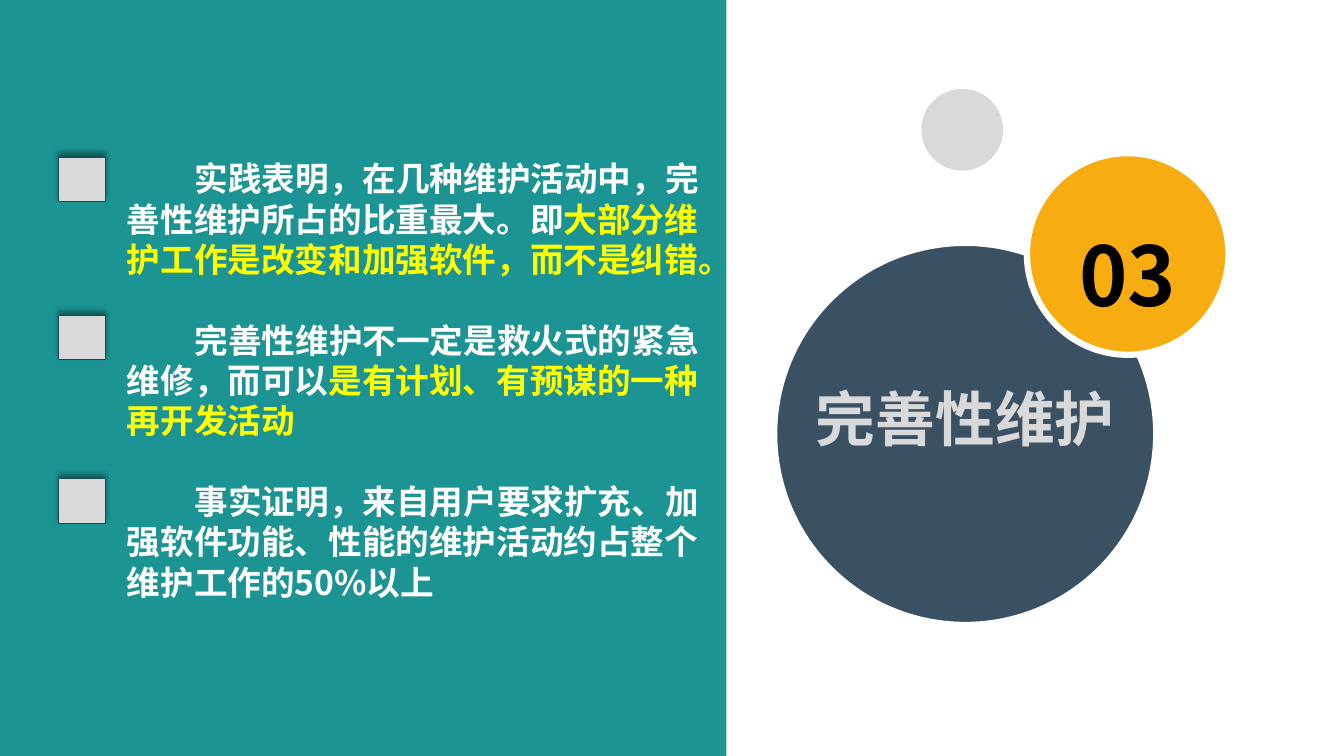
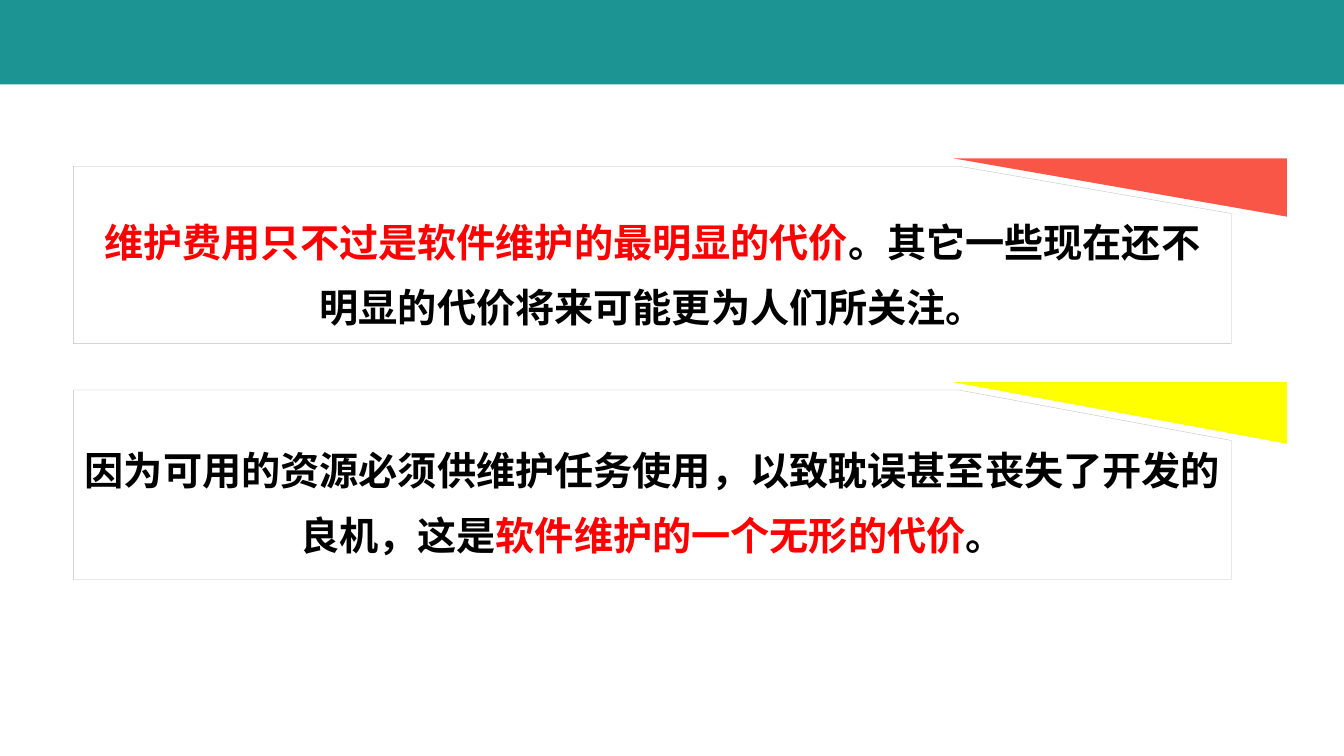
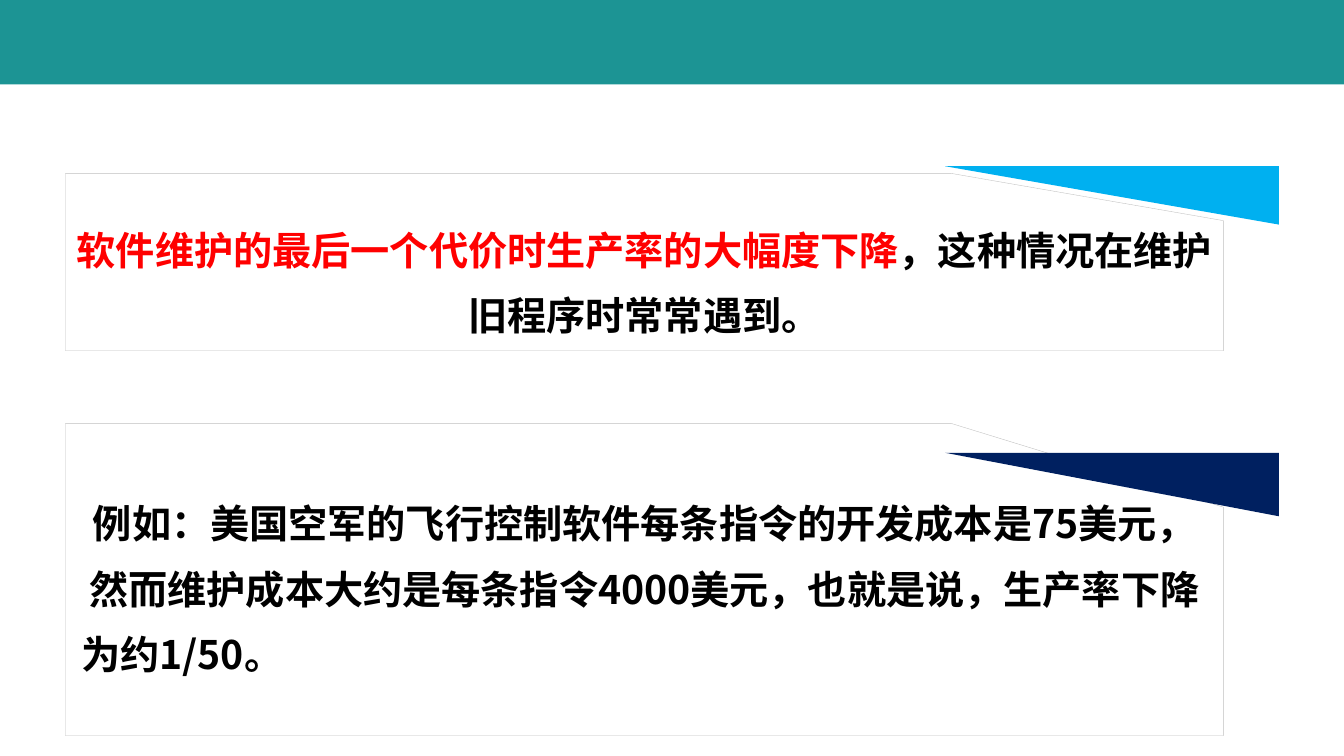
from dataclasses import dataclass
from itertools import chain

from lxml.etree import SubElement
from pptx import Presentation
from pptx.dml.color import RGBColor
from pptx.enum.shapes import MSO_SHAPE as Preset
from pptx.enum.text import MSO_ANCHOR as Anchor, PP_ALIGN as Align
from pptx.oxml.ns import qn
from pptx.util import Cm, Pt


@dataclass(frozen=True)
class Theme:
    font: str = "Noto Sans CJK SC"
    teal: str = "1C9494"
    navy: str = "3A5063"
    amber: str = "F7AC12"
    grey: str = "D9D9D9"
    marker_line: str = "1B4952"
    card_line: str = "BFBFBF"
    white: str = "FFFFFF"
    black: str = "000000"
    red: str = "FF0000"
    yellow: str = "FFFF00"
    coral: str = "F95647"
    sky: str = "00B0F0"
    midnight: str = "002060"
    body_size: float = 24
    card_size: float = 28
    title_size: float = 42.7
    number_size: float = 58.7


@dataclass(frozen=True)
class Box:
    left: float
    top: float
    width: float
    height: float

    def lengths(self):
        return [Cm(value) for value in (self.left, self.top, self.width, self.height)]

    def inner(self, left, top, width, height):
        """Box whose position is counted from this box's corner."""
        return Box(self.left + left, self.top + top, width, height)


THEME = Theme()
WIDTH, HEIGHT = 33.87, 19.05


def set_all(target, values):
    for name, value in values.items():
        setattr(target, name, value)


def paint(shape, fill, line=None, line_width=0.75):
    shape.shadow.inherit = False
    shape.fill.solid()
    shape.fill.fore_color.rgb = RGBColor.from_string(fill)
    if line:
        shape.line.color.rgb = RGBColor.from_string(line)
        shape.line.width = Pt(line_width)
    else:
        shape.line.fill.background()
    return shape


def add_preset(slide, preset, box, fill, line=None, line_width=0.75):
    shape = slide.shapes.add_shape(preset, *box.lengths())
    return paint(shape, fill, line, line_width)


def add_polygon(slide, box, points, fill, line=None, line_width=0.75):
    """Closed outline through points counted in cm from the box's corner."""
    corners = [(Cm(box.left + x), Cm(box.top + y)) for x, y in points]
    builder = slide.shapes.build_freeform(*corners[0], scale=1.0)
    builder.add_line_segments(corners[1:], close=True)
    return paint(builder.convert_to_shape(), fill, line, line_width)


def add_upward_shadow(shape):
    effects = shape._element.spPr.find(qn("a:effectLst"))
    shadow = SubElement(effects, qn("a:outerShdw"), blurRad=str(Pt(4)), dist=str(Pt(3)),
                        dir="16200000", algn="b", rotWithShape="0")
    colour = SubElement(shadow, qn("a:srgbClr"), val=THEME.black)
    SubElement(colour, qn("a:alpha"), val="40000")


def add_text(slide, box, paragraphs, size, insets=(0.18, 0.18), anchor=Anchor.TOP,
             indents=(), **paragraph_format):
    """Each paragraph is a list of (text, colour) runs; indents are first-line, in cm."""
    frame = slide.shapes.add_textbox(*box.lengths()).text_frame
    side, end = map(Cm, insets)
    set_all(frame, {"word_wrap": True, "vertical_anchor": anchor, "margin_left": side,
                    "margin_right": side, "margin_top": end, "margin_bottom": end})
    for index, runs in enumerate(paragraphs):
        paragraph = frame.add_paragraph() if index else frame.paragraphs[0]
        set_all(paragraph, paragraph_format)
        if index < len(indents) and indents[index]:
            paragraph.alignment = Align.LEFT
            properties = paragraph._p.get_or_add_pPr()
            properties.set("marL", "0")
            properties.set("indent", str(Cm(indents[index])))
        for text, colour in runs:
            run = paragraph.add_run()
            run.text = text
            set_all(run.font, {"name": THEME.font, "size": Pt(size), "bold": True})
            run.font.color.rgb = RGBColor.from_string(colour)
            SubElement(run._r.get_or_add_rPr(), qn("a:ea"), typeface=THEME.font)


def add_points_panel(slide, box, paragraphs):
    add_preset(slide, Preset.RECTANGLE, box, THEME.teal)
    add_text(slide, box.inner(3.02, 3.86, 15.27, 11.53), paragraphs, THEME.body_size,
             insets=(0.18, 0.13), indents=[1.71] * len(paragraphs), space_after=Pt(28.8))
    for top in (3.96, 7.95, 12.07):
        marker = add_preset(slide, Preset.RECTANGLE, box.inner(1.48, top, 1.17, 1.12),
                            THEME.grey, THEME.marker_line)
        add_upward_shadow(marker)


def add_chapter_badge(slide, box, number, title):
    add_preset(slide, Preset.OVAL, box.inner(3.71, 0, 2.06, 2.06), THEME.grey)
    add_preset(slide, Preset.OVAL, box.inner(0, 3.88, 9.63, 9.63), THEME.navy, THEME.white, 4.5)
    add_text(slide, box.inner(0, 7.21, 9.63, 2.16), [[(title, THEME.grey)]],
             THEME.title_size, alignment=Align.CENTER)
    add_preset(slide, Preset.OVAL, box.inner(6.37, 1.62, 5.08, 5.08), THEME.amber,
               THEME.white, 4.5)
    add_text(slide, box.inner(7.57, 2.59, 2.69, 3.12), [[(number, THEME.black)]],
             THEME.number_size, insets=(0, 0), anchor=Anchor.MIDDLE,
             alignment=Align.CENTER, line_spacing=1.4)


def add_header_band(slide):
    add_preset(slide, Preset.RECTANGLE, Box(0, 0, WIDTH, 2.13), THEME.teal)


def add_flag_card(slide, box, drop, text_top, flag_top, flag_height, colour, paragraphs,
                  indents=()):
    """Card with a bevelled corner under a coloured wedge."""
    cut, flag_width = 22.32, 8.41
    outline = [(0, 0), (cut, 0), (box.width, drop), (box.width, box.height), (0, box.height)]
    add_polygon(slide, box, outline, THEME.white, THEME.card_line, 0.25)
    add_text(slide, box.inner(0, text_top, box.width, 1.5 + 1.4 * (len(paragraphs) - 1)),
             paragraphs, THEME.card_size, indents=indents, alignment=Align.CENTER,
             line_spacing=0.7, space_after=Pt(23.2))
    flag = box.inner(cut - 0.15, flag_top, flag_width, flag_height)
    add_polygon(slide, flag, [(0, 0), (flag_width, 0), (flag_width, flag_height)], colour)


def build_chapter_slide(slide):
    white, yellow = THEME.white, THEME.yellow
    add_chapter_badge(slide, Box(19.51, 2.24, 11.45, 13.51), "03", "完善性维护")
    add_points_panel(slide, Box(0, 0, 18.31, HEIGHT), [
        [("实践表明，在几种维护活动中，完善性维护所占的比重最大。即", white),
         ("大部分维护工作是改变和加强软件，而不是纠错。", yellow)],
        [("完善性维护不一定是救火式的紧急维修，而可以", white),
         ("是有计划、有预谋的一种再开发活动", yellow)],
        [("事实证明，来自用户要求扩充、加强软件功能、性能的维护活动约占整个维护工作的50%以上",
          white)],
    ])


def build_cards_slide(slide, left, cards):
    add_header_band(slide)
    for top, height, *details in cards:
        add_flag_card(slide, Box(left, top, 29.18, height), *details)


def main():
    presentation = Presentation()
    set_all(presentation, {"slide_width": Cm(WIDTH), "slide_height": Cm(HEIGHT)})
    blank = presentation.slide_layouts[6]
    red, black = THEME.red, THEME.black

    build_chapter_slide(presentation.slides.add_slide(blank))
    build_cards_slide(presentation.slides.add_slide(blank), 1.85, [
        (4.19, 4.47, 1.19, 1.45, -0.2, 1.47, THEME.coral, [
            [("维护费用只不过是软件维护的最明显的代价", red), ("。其它一些现在还不", black)],
            [("明显的代价将来可能更为人们所关注。", black)]]),
        (9.83, 4.78, 1.27, 1.55, -0.2, 1.55, THEME.yellow, [
            [("因为可用的资源必须供维护任务使用，以致耽误甚至丧失了开发的", black)],
            [("良机，这是", black), ("软件维护的一个无形的代价", red), ("。", black)]]),
    ])
    build_cards_slide(presentation.slides.add_slide(blank), 1.65, [
        (4.37, 4.47, 1.19, 1.47, -0.18, 1.47, THEME.sky, [
            [("软件维护的最后一个代价时生产率的大幅度下降", red), ("，这种情况在维护", black)],
            [("旧程序时常常遇到。", black)]]),
        (10.67, 7.87, 2.11, 2.06, 0.74, 1.6, THEME.midnight, [
            [("例如：美国空军的飞行控制软件每条指令的开发成本是75美元，", black)],
            [("然而维护成本大约是每条指令4000美元，也就是说，生产率下降", black)],
            [("为约1/50。", black)]], (0, 0, 0.22)),
    ])
    presentation.save("out.pptx")


if __name__ == "__main__":
    main()
